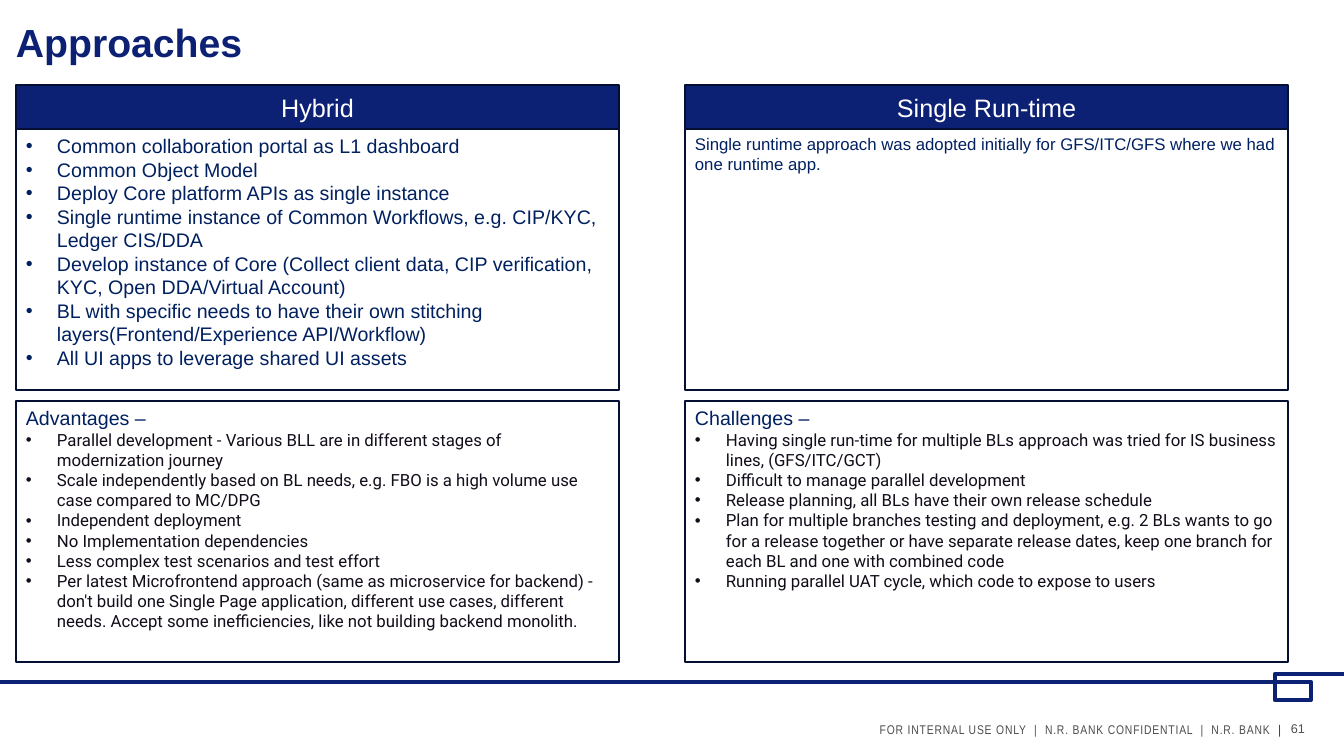
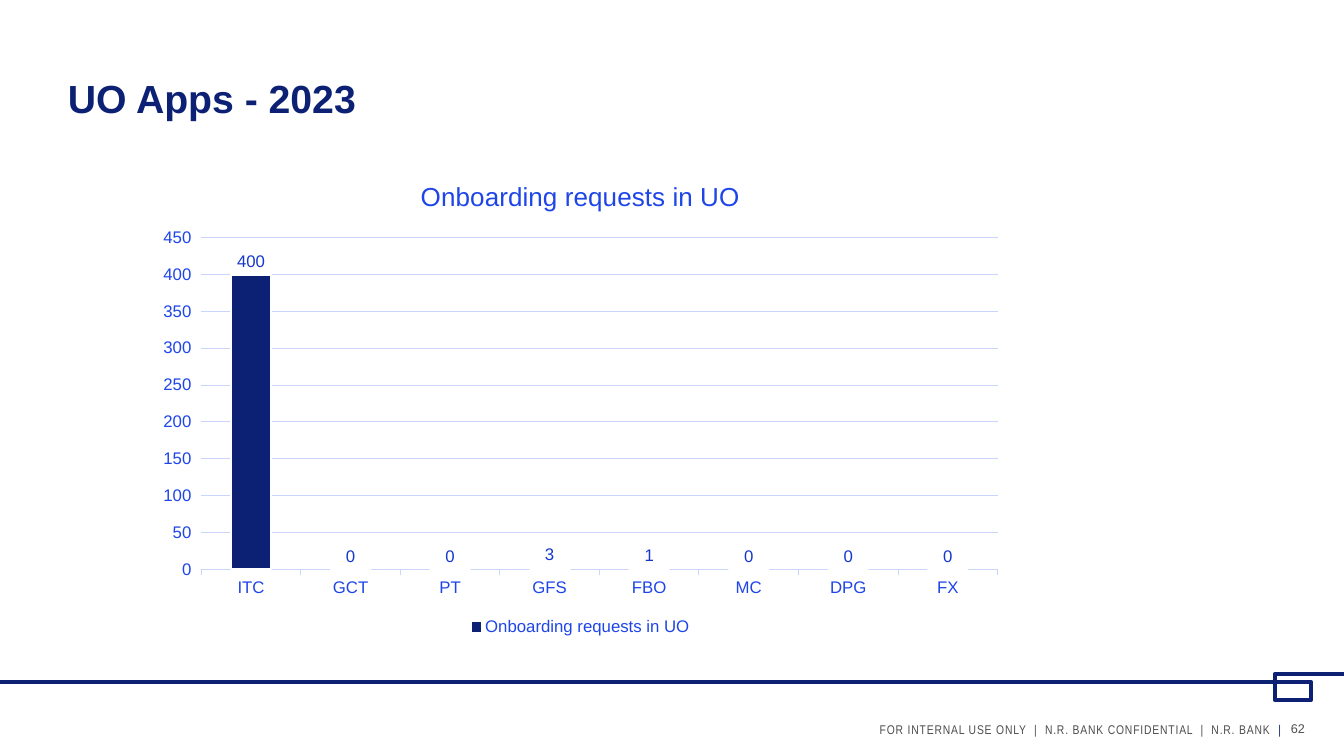
"""Build two slides: a comparison of runtime approaches and a chart of onboarding requests."""
from lxml import etree
from pptx import Presentation
from pptx import util as u
from pptx.chart.data import CategoryChartData
from pptx.dml.color import RGBColor
from pptx.enum import chart as charts, shapes, text
from pptx.oxml.ns import qn

SCALE = 914400 / 100.8
PAGE = (1344, 756)
COLORS = {
    "navy": "0C2074", "outline": "050E33", "heading": "002060", "body": "130C1A",
    "grey": "4D4D4D", "white": "FFFFFF", "chart": "1E45E8", "value": "1538CB",
    "grid": "CBD4FA",
}
STYLES = {
    "title": ("Arial", 28, "navy"),
    "header": ("Arial", 18, "white"),
    "lead": ("Arial", 14, "heading"),
    "intro": ("Arial", 12, "heading"),
    "detail": ("Roboto", 12, "body"),
    "footer": ("Arial Narrow", 9, "grey"),
    "separator": ("Arial Narrow", 9, "navy"),
    "number": ("Arial", 9, "grey"),
}
FIRST_NUMBER = 61
FOOTER = [("FOR INTERNAL USE ONLY  |  N.R. BANK CONFIDENTIAL  |  N.R. BANK ", "footer"),
          (" |", "separator")]
RULE = [(1344, 674), (1275, 674), (1275, 700), (1311, 700), (1311, 682), (0, 682)]

COLUMN_LEFTS = (16, 685)
COLUMN_WIDTH = 603
HEADER_TOP, HEADER_HEIGHT = 85, 44
PANEL_HEIGHT, PANEL_GAP = 261, 11
INDENT = 31

# Each paragraph is (text, style, bulleted).
APPROACHES = [
    {
        "header": "Hybrid",
        "panels": [
            [(line, "lead", True) for line in (
                "Common collaboration portal as L1 dashboard",
                "Common Object Model",
                "Deploy Core platform APIs as single instance",
                "Single runtime instance of Common Workflows, e.g. CIP/KYC, Ledger CIS/DDA",
                "Develop instance of Core (Collect client data, CIP verification, KYC, "
                "Open DDA/Virtual Account)",
                "BL with specific needs to have their own stitching "
                "layers(Frontend/Experience API/Workflow)",
                "All UI apps to leverage shared UI assets",
            )],
            [("Advantages –", "lead", False)] + [(line, "detail", True) for line in (
                "Parallel development - Various BLL are in different stages of "
                "modernization journey",
                "Scale independently based on BL needs, e.g. FBO is a high volume use case "
                "compared to MC/DPG",
                "Independent deployment",
                "No Implementation dependencies",
                "Less complex test scenarios and test effort",
                "Per latest Microfrontend approach (same as microservice for backend) - "
                "don't build one Single Page application, different use cases, different "
                "needs. Accept some inefficiencies, like not building backend monolith.",
            )],
        ],
    },
    {
        "header": "Single Run-time",
        "panels": [
            [("Single runtime approach was adopted initially for GFS/ITC/GFS where we had "
              "one runtime app.", "intro", False)],
            [("Challenges –", "lead", False)] + [(line, "detail", True) for line in (
                "Having single run-time for multiple BLs approach was tried for IS business "
                "lines, (GFS/ITC/GCT)",
                "Difficult to manage parallel development",
                "Release planning, all BLs have their own release schedule",
                "Plan for multiple branches testing and deployment, e.g. 2 BLs wants to go "
                "for a release together or have separate release dates, keep one branch for "
                "each BL and one with combined code",
                "Running parallel UAT cycle, which code to expose to users",
            )],
        ],
    },
]
REQUESTS = {"ITC": 400, "GCT": 0, "PT": 0, "GFS": 3, "FBO": 1, "MC": 0, "DPG": 0, "FX": 0}
CHART_TITLE = "Onboarding requests in UO"


def px(*lengths):
    return [u.Emu(round(length * SCALE)) for length in lengths]


def color(name):
    return RGBColor.from_string(COLORS[name])


def set_font(font, name, size, tone, bold=False):
    font.name, font.size, font.bold = name, u.Pt(size), bold
    font.color.rgb = color(tone)


def set_line(line, tone, width):
    line.color.rgb = color(tone)
    line.width = u.Pt(width)


def add_bullet(para):
    props = para._p.get_or_add_pPr()
    props.set("marL", str(px(INDENT)[0]))
    props.set("indent", str(-px(INDENT)[0]))
    etree.SubElement(props, qn("a:buFont"), typeface="Arial")
    etree.SubElement(props, qn("a:buChar"), char="•")


def add_label(page, place, spans, align=text.PP_ALIGN.LEFT, bold=False, spacing=0):
    box = page.shapes.add_textbox(*px(*place))
    frame = box.text_frame
    frame.word_wrap = True
    frame.vertical_anchor = text.MSO_ANCHOR.BOTTOM
    frame.margin_left = frame.margin_right = frame.margin_top = frame.margin_bottom = 0
    para = frame.paragraphs[0]
    para.alignment = align
    for content, style in spans:
        span = para.add_run()
        span.text = content
        set_font(span.font, *STYLES[style], bold)
        if spacing:
            span._r.get_or_add_rPr().set("spc", str(spacing))


def add_page(deck, title, title_place):
    page = deck.slides.add_slide(deck.slide_layouts[6])
    builder = page.shapes.build_freeform(*RULE[0], scale=SCALE)
    builder.add_line_segments(RULE[1:], close=False)
    rule = builder.convert_to_shape()
    rule.shadow.inherit = False
    rule.fill.background()
    set_line(rule.line, "navy", 3)
    number = FIRST_NUMBER + len(deck.slides) - 1
    add_label(page, (213, 717, 1068, 20), FOOTER, text.PP_ALIGN.RIGHT, spacing=60)
    add_label(page, (1291, 717, 52, 19), [(str(number), "number")])
    add_label(page, title_place, [(title, "title")], bold=True)
    return page


def add_panel(page, place, paragraphs, filled=False):
    panel = page.shapes.add_shape(shapes.MSO_SHAPE.RECTANGLE, *px(*place))
    panel.shadow.inherit = False
    if filled:
        panel.fill.solid()
        panel.fill.fore_color.rgb = color("navy")
    else:
        panel.fill.background()
    set_line(panel.line, "outline", 2)
    frame = panel.text_frame
    frame.word_wrap = True
    frame.vertical_anchor = text.MSO_ANCHOR.MIDDLE if filled else text.MSO_ANCHOR.TOP
    frame.text = "\n".join(content for content, _, _ in paragraphs)
    for para, (_, style, bulleted) in zip(frame.paragraphs, paragraphs):
        para.alignment = text.PP_ALIGN.CENTER if filled else text.PP_ALIGN.LEFT
        if bulleted:
            add_bullet(para)
        set_font(para.runs[0].font, *STYLES[style])


def build_approaches(deck):
    page = add_page(deck, "Approaches", (16, 9, 1210, 56))
    for left, approach in zip(COLUMN_LEFTS, APPROACHES):
        top = HEADER_TOP + HEADER_HEIGHT
        for paragraphs in approach["panels"]:
            add_panel(page, (left, top, COLUMN_WIDTH, PANEL_HEIGHT), paragraphs)
            top += PANEL_HEIGHT + PANEL_GAP
        add_panel(page, (left, HEADER_TOP, COLUMN_WIDTH, HEADER_HEIGHT),
                  [(approach["header"], "header", False)], filled=True)


def build_requests(deck):
    page = add_page(deck, "UO Apps - 2023", (68, 25, 1210, 96))
    data = CategoryChartData()
    data.categories = list(REQUESTS)
    data.add_series(CHART_TITLE, list(REQUESTS.values()))
    chart = page.shapes.add_chart(
        charts.XL_CHART_TYPE.COLUMN_CLUSTERED, *px(146, 159, 869, 481), data).chart
    set_font(chart.font, "Arial", 10, "navy")

    chart.has_title = True
    chart.chart_title.include_in_layout = False
    chart.chart_title.text_frame.text = CHART_TITLE
    set_font(chart.chart_title.text_frame.paragraphs[0].runs[0].font, "Arial", 18.6, "chart")
    chart.has_legend = True
    chart.legend.position = charts.XL_LEGEND_POSITION.BOTTOM
    chart.legend.include_in_layout = False

    categories, values = chart.category_axis, chart.value_axis
    for part in (chart.legend, categories.tick_labels, values.tick_labels):
        set_font(part.font, "Arial", 12, "chart")
    set_line(categories.format.line, "grid", 0.75)
    values.format.line.fill.background()
    values.minimum_scale, values.maximum_scale, values.major_unit = 0, 450, 50
    values.has_major_gridlines = True
    set_line(values.major_gridlines.format.line, "grid", 0.75)

    plot = chart.plots[0]
    plot.gap_width = 150
    plot.vary_by_categories = False
    series = plot.series[0]
    series.format.fill.solid()
    series.format.fill.fore_color.rgb = color("navy")
    set_line(series.format.line, "white", 1.5)
    labels = series.data_labels
    labels.show_value = True
    labels.position = charts.XL_LABEL_POSITION.OUTSIDE_END
    set_font(labels.font, "Arial", 12, "value")


def main():
    deck = Presentation()
    deck.slide_width, deck.slide_height = px(*PAGE)
    build_approaches(deck)
    build_requests(deck)
    deck.save("out.pptx")


if __name__ == "__main__":
    main()
